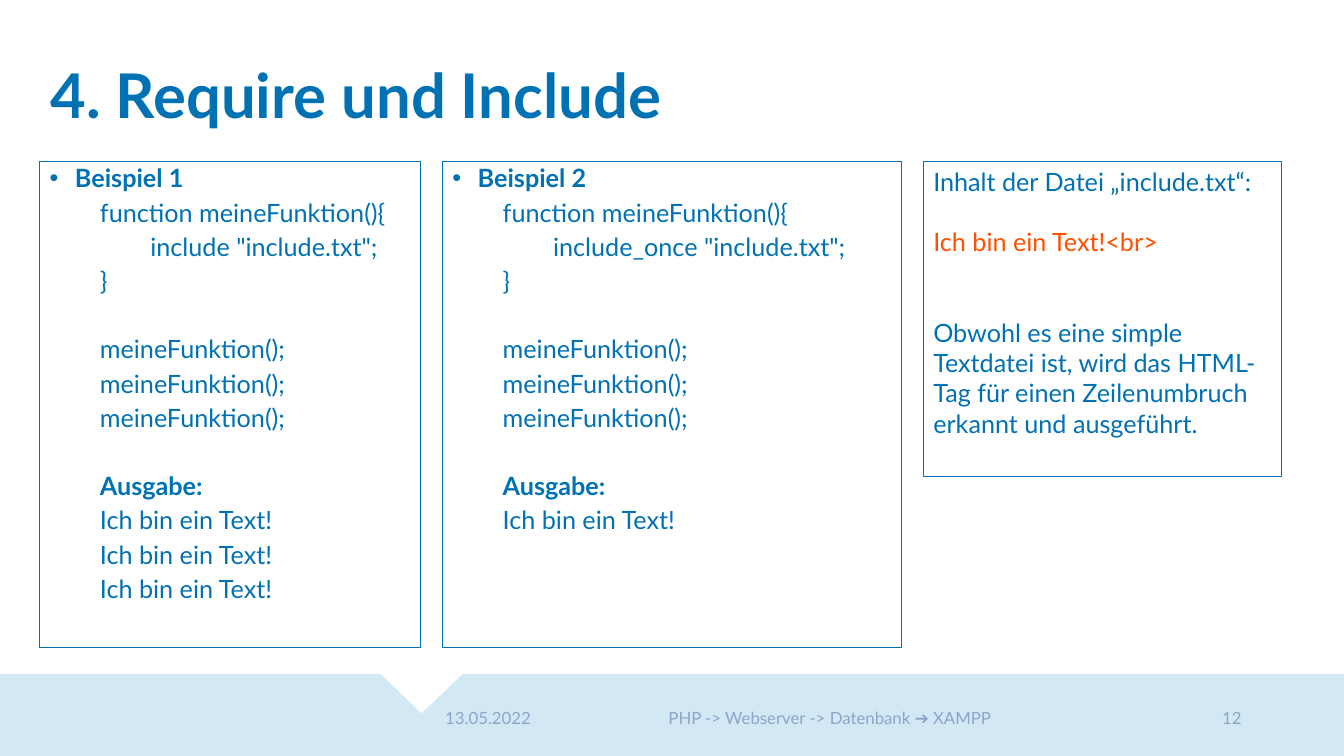
from dataclasses import dataclass

import lxml.etree
import pptx
import pptx.dml.color
import pptx.enum.shapes
import pptx.enum.text
import pptx.oxml.ns
import pptx.util
from pptx.util import Cm

COLORS = {"blue": "0071B2", "orange": "FE5000", "footer": "8CA5C9", "band": "D2E8F4"}
FONT = "Lato"
ALIGN = pptx.enum.text.PP_ALIGN
ANCHOR = pptx.enum.text.MSO_ANCHOR
RECTANGLE = pptx.enum.shapes.MSO_SHAPE.RECTANGLE
PANEL_TOP = 4.06
BLANK_CODE_LINE = 24.4
BLANK_NOTE_LINE = 21.6


@dataclass
class Line:
    text: str
    space_before: float = 0
    bold: bool = False
    color: str = "blue"
    line_spacing: float = 1.0
    margin: float = 0
    indent: float = 0
    level: int = 0
    bullet: bool = False


@dataclass
class Panel:
    left: float
    width: float
    height: float
    lines: list[Line]


@dataclass
class FooterItem:
    left: float
    width: float
    text: str
    alignment: ALIGN


def rgb(name: str) -> pptx.dml.color.RGBColor:
    return pptx.dml.color.RGBColor.from_string(COLORS[name])


def set_font(paragraph, size: float, color: str, bold: bool = False) -> None:
    font = paragraph.font
    font.name = FONT
    font.size = pptx.util.Pt(size)
    font.bold = bold
    font.color.rgb = rgb(color)


def code_line(text: str, bold: bool = False, gap: bool = False) -> Line:
    space = 5 + (BLANK_CODE_LINE if gap else 0)
    return Line(text, space, bold, line_spacing=0.9, margin=1.27, level=1)


def example_lines(number: int, statement: str, output_count: int) -> list[Line]:
    calls = [code_line("meineFunktion();", gap=index == 0) for index in range(3)]
    return [
        Line(f"Beispiel {number}", bold=True, line_spacing=0.9,
             margin=0.64, indent=-0.64, bullet=True),
        code_line("function meineFunktion(){"),
        code_line(f'\t{statement} "include.txt";'),
        code_line("}"),
        *calls,
        code_line("Ausgabe:", bold=True, gap=True),
        *[code_line("Ich bin ein Text!") for _ in range(output_count)],
    ]


def write_line(paragraph, line: Line) -> None:
    paragraph.text = line.text
    paragraph.level = line.level
    paragraph.alignment = ALIGN.LEFT
    paragraph.line_spacing = line.line_spacing
    paragraph.space_before = pptx.util.Pt(line.space_before)
    properties = paragraph._p.get_or_add_pPr()
    properties.set("marL", str(Cm(line.margin)))
    properties.set("indent", str(Cm(line.indent)))
    if line.bullet:
        qualified = pptx.oxml.ns.qn
        lxml.etree.SubElement(properties, qualified("a:buFont")).set("typeface", "Arial")
        lxml.etree.SubElement(properties, qualified("a:buChar")).set("char", "•")
    set_font(paragraph, 18, line.color, line.bold)


def draw_band(slide) -> None:
    top, bottom, right = Cm(16.99), Cm(19.05), Cm(33.87)
    builder = slide.shapes.build_freeform(0, top)
    builder.add_line_segments(
        [(Cm(9.6), top), (Cm(10.62), Cm(17.98)), (Cm(11.66), top),
         (right, top), (right, bottom), (0, bottom)],
        close=True,
    )
    band = builder.convert_to_shape()
    band.shadow.inherit = False
    band.fill.solid()
    band.fill.fore_color.rgb = rgb("band")
    band.line.fill.background()


def draw_title(slide) -> None:
    title = slide.shapes.title
    title.left, title.top, title.width, title.height = Cm(1.02), Cm(1.52), Cm(23.77), Cm(2.01)
    frame = title.text_frame
    frame.text = "4. Require und Include"
    frame.vertical_anchor = ANCHOR.TOP
    frame.auto_size = pptx.enum.text.MSO_AUTO_SIZE.NONE
    paragraph = frame.paragraphs[0]
    paragraph.alignment = ALIGN.LEFT
    paragraph.line_spacing = 0.9
    set_font(paragraph, 44, "blue", True)


def draw_panel(slide, panel: Panel) -> None:
    shape = slide.shapes.add_shape(
        RECTANGLE, Cm(panel.left), Cm(PANEL_TOP), Cm(panel.width), Cm(panel.height))
    shape.shadow.inherit = False
    shape.fill.background()
    shape.line.color.rgb = rgb("blue")
    shape.line.width = pptx.util.Pt(0.75)
    frame = shape.text_frame
    frame.word_wrap = True
    frame.vertical_anchor = ANCHOR.TOP
    for index, line in enumerate(panel.lines):
        write_line(frame.add_paragraph() if index else frame.paragraphs[0], line)


def draw_footer_item(slide, item: FooterItem) -> None:
    box = slide.shapes.add_textbox(Cm(item.left), Cm(17.53), Cm(item.width), Cm(1.14))
    frame = box.text_frame
    frame.word_wrap = True
    frame.vertical_anchor = ANCHOR.MIDDLE
    frame.text = item.text
    frame.paragraphs[0].alignment = item.alignment
    set_font(frame.paragraphs[0], 12, "footer")


def main() -> None:
    presentation = pptx.Presentation()
    presentation.slide_width = Cm(33.87)
    presentation.slide_height = Cm(19.05)
    slide = presentation.slides.add_slide(presentation.slide_layouts[5])

    # Footer band and title
    draw_band(slide)
    draw_title(slide)

    # Two code examples and the note on the included file
    note = [
        Line("Inhalt der Datei „include.txt“:"),
        Line("Ich bin ein Text!<br>", BLANK_NOTE_LINE, color="orange"),
        Line("Obwohl es eine simple Textdatei ist, wird das HTML-Tag für einen "
             "Zeilenumbruch erkannt und ausgeführt.", 2 * BLANK_NOTE_LINE),
    ]
    panels = [
        Panel(1.0, 9.59, 12.27, example_lines(1, "include", 3)),
        Panel(11.15, 11.56, 12.27, example_lines(2, "include_once", 1)),
        Panel(23.27, 9.02, 7.95, note),
    ]
    for panel in panels:
        draw_panel(slide, panel)

    # Footer texts
    footer = [
        FooterItem(10.97, 3.94, "13.05.2022", ALIGN.LEFT),
        FooterItem(14.91, 12.01, "PHP -> Webserver -> Datenbank ➔ XAMPP", ALIGN.CENTER),
        FooterItem(26.92, 4.62, "12", ALIGN.RIGHT),
    ]
    for item in footer:
        draw_footer_item(slide, item)

    presentation.save("out.pptx")


if __name__ == "__main__":
    main()
